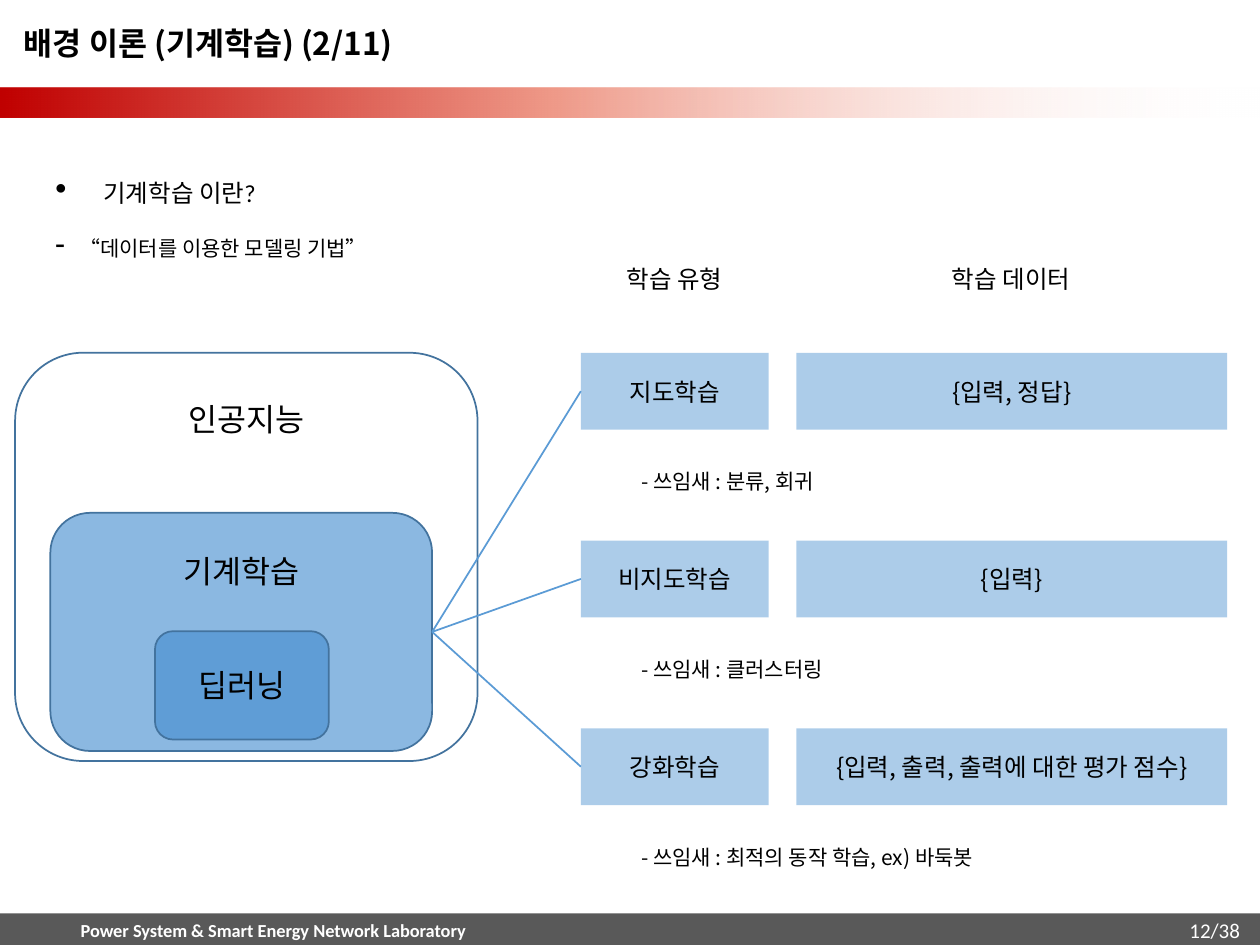
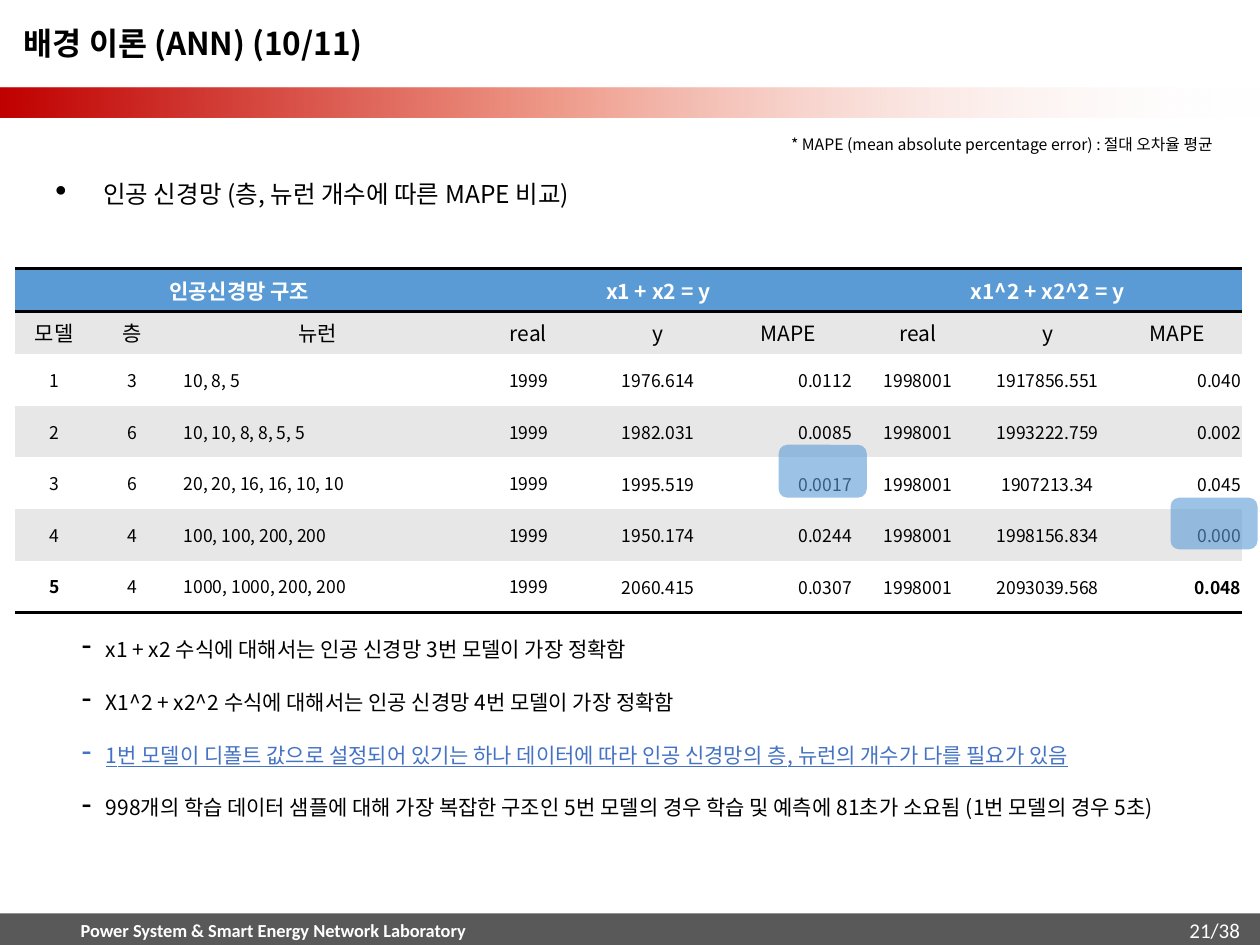
import pptx
import pptx.dml.color
import pptx.enum.shapes
import pptx.enum.text
import pptx.oxml
import pptx.oxml.ns
import pptx.util
from lxml import etree

Inches = pptx.util.Inches
Pt = pptx.util.Pt
Shapes = pptx.enum.shapes.MSO_SHAPE
Anchor = pptx.enum.text.MSO_ANCHOR
Align = pptx.enum.text.PP_ALIGN
qn = pptx.oxml.ns.qn

COLORS = {
    "black": "000000", "white": "FFFFFF", "blue": "5B9BD5", "outline": "43739E",
    "highlight": "4472C4", "stripe": "E7E7E7", "footer": "595959",
    "red": "C00000", "salmon": "EF9A89",
}
KOREAN, LATIN = "Noto Sans CJK KR", "Calibri"
NARROW = (0.07, 0.04, 0.07, 0.04)
STANDARD = (0.1, 0.05, 0.1, 0.05)
TIGHT = (0.01, 0.01, 0.01, 0)
PAGE_COUNT = 38
LABORATORY = "Power System & Smart Energy Network Laboratory"

# label, box, fill opacity in percent (None: no fill), anchor
NESTED_FIELDS = [
    ("인공지능", (0.12, 2.8, 3.67, 3.24), None, Anchor.TOP),
    ("기계학습", (0.4, 4.07, 3.03, 1.89), 70, Anchor.TOP),
    ("딥러닝", (1.23, 5.01, 1.38, 0.86), 90, Anchor.MIDDLE),
]
COLUMN_HEADINGS = [("학습 유형", (4.83, 2.05, 1.05, 0.34)),
                   ("학습 데이터", (7.4, 2.05, 1.25, 0.34))]
LEARNING_TYPES = [
    ("지도학습", "{입력, 정답}", "- 쓰임새 : 분류, 회귀"),
    ("비지도학습", "{입력}", "- 쓰임새 : 클러스터링"),
    ("강화학습", "{입력, 출력, 출력에 대한 평가 점수}", "- 쓰임새 : 최적의 동작 학습, ex) 바둑봇"),
]
TYPES_TOP, TYPES_PITCH, TYPE_HEIGHT, NOTE_OFFSET = 2.8, 1.49, 0.61, 0.87

TABLE_GROUPS = ["인공신경망 구조", "x1 + x2 = y", "x1^2 + x2^2 = y"]
TABLE_ROWS = [
    ("모델", "층", "뉴런", "real", "y", "MAPE", "real", "y", "MAPE"),
    ("1", "3", "10, 8, 5", "1999", "1976.614", "0.0112", "1998001", "1917856.551", "0.040"),
    ("2", "6", "10, 10, 8, 8, 5, 5", "1999", "1982.031", "0.0085", "1998001", "1993222.759", "0.002"),
    ("3", "6", "20, 20, 16, 16, 10, 10", "1999", "1995.519", "0.0017", "1998001", "1907213.34", "0.045"),
    ("4", "4", "100, 100, 200, 200", "1999", "1950.174", "0.0244", "1998001", "1998156.834", "0.000"),
    ("5", "4", "1000, 1000, 200, 200", "1999", "2060.415", "0.0307", "1998001", "2093039.568", "0.048"),
]
COLUMN_WIDTHS = [0.62, 0.62, 2.32] + [1.03] * 6
ROW_HEIGHTS = [0.34, 0.34] + [0.41] * 5
NEURONS_COLUMN, MAPE_COLUMNS, BOLD_CELLS = 2, (5, 8), [(6, 0), (6, 8)]
BEST_MODEL_MARKS = [(6.18, 3.53, 0.7, 0.42), (9.29, 3.95, 0.69, 0.41)]
FINDINGS = [
    "x1 + x2 수식에 대해서는 인공 신경망 3번 모델이 가장 정확함",
    "X1^2 + x2^2 수식에 대해서는 인공 신경망 4번 모델이 가장 정확함",
    "1번 모델이 디폴트 값으로 설정되어 있기는 하나 데이터에 따라 인공 신경망의 층, "
    "뉴런의 개수가 다를 필요가 있음",
    "998개의 학습 데이터 샘플에 대해 가장 복잡한 구조인 5번 모델의 경우 학습 및 예측에 "
    "81초가 소요됨 (1번 모델의 경우 5초)",
]
KEY_FINDING = 2


def rgb(name):
    return pptx.dml.color.RGBColor.from_string(COLORS[name])


def xml(text):
    return pptx.oxml.parse_xml(text.replace(">", f" {pptx.oxml.ns.nsdecls('a')}>", 1))


def format_paragraph(paragraph, size, color="black", bold=False, align=Align.LEFT, font=KOREAN):
    paragraph.alignment = align
    for run in paragraph.runs:
        run.font.name = font
        run.font.size = Pt(size)
        run.font.bold = bold
        run.font.color.rgb = rgb(color)
        etree.SubElement(run.font._element, qn("a:ea")).set("typeface", KOREAN)


def set_margins(target, margins):
    """Apply left, top, right, bottom margins to a text frame or a cell."""
    for side, margin in zip(("left", "top", "right", "bottom"), margins):
        setattr(target, f"margin_{side}", Inches(margin))


def fill_frame(shape, text, size, anchor=Anchor.TOP, margins=STANDARD, wrap=True, **style):
    frame = shape.text_frame
    frame.text = text
    frame.word_wrap = wrap
    frame.vertical_anchor = anchor
    set_margins(frame, margins)
    for paragraph in frame.paragraphs:
        format_paragraph(paragraph, size, **style)
    return frame


def add_text(slide, box, text, size, **style):
    textbox = slide.shapes.add_textbox(*map(Inches, box))
    return fill_frame(textbox, text, size, **style)


def add_box(slide, box, kind=Shapes.RECTANGLE, fill=None, opacity=100, line=None):
    shape = slide.shapes.add_shape(kind, *map(Inches, box))
    shape.shadow.inherit = False
    if fill:
        shape.fill.solid()
        shape.fill.fore_color.rgb = rgb(fill)
        if opacity < 100:
            color = shape._element.spPr.find(".//" + qn("a:srgbClr"))
            etree.SubElement(color, qn("a:alpha")).set("val", str(opacity * 1000))
    else:
        shape.fill.background()
    if line:
        shape.line.color.rgb = rgb(line)
        shape.line.width = Pt(1)
    else:
        shape.line.fill.background()
    return shape


def add_bullet(paragraph, character, indent):
    """Give a list paragraph its hanging bullet and spacing."""
    paragraph.space_before = Pt(18)
    paragraph.line_spacing = 0.85
    properties = paragraph._p.get_or_add_pPr()
    properties.set("marL", str(Inches(indent)))
    properties.set("indent", str(-Inches(indent)))
    properties.append(xml('<a:buSzPct val="135000"/>'.replace("/>", "></a:buSzPct>")))
    properties.append(xml(f'<a:buChar char="{character}"></a:buChar>'))


def add_fading_band(slide):
    band = add_box(slide, (0, 0.7, 10, 0.23), fill="red")
    stops = [(0, "red", 100), (44, "salmon", 100), (100, "white", 0)]
    stop_list = "".join(
        f'<a:gs pos="{position * 1000}"><a:srgbClr val="{COLORS[color]}">'
        f'<a:alpha val="{opacity * 1000}"/></a:srgbClr></a:gs>'
        for position, color, opacity in stops)
    gradient = xml(f'<a:gradFill rotWithShape="1"><a:gsLst>{stop_list}</a:gsLst>'
                   '<a:lin ang="0" scaled="0"/></a:gradFill>')
    properties = band._element.spPr
    properties.replace(properties.find(qn("a:solidFill")), gradient)


def add_frame_slide(presentation, title, page):
    """Add a slide with the title, red band and footer that all slides share."""
    slide = presentation.slides.add_slide(presentation.slide_layouts[6])
    add_box(slide, (-0.03, 7.25, 10.06, 0.26), fill="footer")
    add_fading_band(slide)
    add_text(slide, (-0.08, 7.27, 4.5, 0.23), LABORATORY, 10.5, anchor=Anchor.MIDDLE,
             margins=(0.03, 0.02, 0.03, 0.02), color="white", bold=True,
             align=Align.CENTER, font=LATIN)
    heading = add_text(slide, (0.12, 0.2, 9.62, 0.32), title, 18, anchor=Anchor.MIDDLE,
                       margins=NARROW, bold=True)
    heading.paragraphs[0].line_spacing = 0.9
    add_text(slide, (7.69, 7.18, 2.25, 0.4), f"{page}/{PAGE_COUNT}", 12,
             anchor=Anchor.MIDDLE, color="white", align=Align.RIGHT, font=LATIN)
    return slide


def add_link(slide, start, end):
    """Join the left side of start to the right side of end."""
    connector = slide.shapes.add_connector(pptx.enum.shapes.MSO_CONNECTOR.STRAIGHT, 0, 0, 0, 0)
    connector.begin_connect(start, 1)
    connector.end_connect(end, 3)
    connector.line.color.rgb = rgb("blue")
    connector.line.width = Pt(1)
    etree.SubElement(connector._element.spPr, qn("a:effectLst"))


def build_machine_learning(presentation):
    slide = add_frame_slide(presentation, "배경 이론 (기계학습) (2/11)", 12)
    intro = add_text(slide, (0.37, 1.41, 9.57, 1.39), "기계학습 이란?", 14,
                     margins=NARROW, font=LATIN)
    definition = intro.add_paragraph()
    definition.text = "“데이터를 이용한 모델링 기법”"
    format_paragraph(definition, 12)
    add_bullet(intro.paragraphs[0], "•", 0.38)
    add_bullet(definition, "-", 0.19)

    fields = {}
    for label, box, opacity, anchor in NESTED_FIELDS:
        field = add_box(slide, box, Shapes.ROUNDED_RECTANGLE,
                        "blue" if opacity else None, opacity or 100, "outline")
        margins = (0.1, 0.22, 0.1, 0.05) if anchor == Anchor.TOP else STANDARD
        fill_frame(field, label, 18, anchor=anchor, margins=margins, align=Align.CENTER)
        fields[label] = field

    for heading, box in COLUMN_HEADINGS:
        add_text(slide, box, heading, 14, wrap=False, align=Align.CENTER)
    for index, (name, data, usage) in enumerate(LEARNING_TYPES):
        top = TYPES_TOP + index * TYPES_PITCH
        type_box = add_box(slide, (4.61, top, 1.49, TYPE_HEIGHT), fill="blue", opacity=50)
        data_box = add_box(slide, (6.32, top, 3.42, TYPE_HEIGHT), fill="blue", opacity=50)
        for shape, label in ((type_box, name), (data_box, data)):
            fill_frame(shape, label, 14, anchor=Anchor.MIDDLE, align=Align.CENTER)
        add_text(slide, (4.99, top + NOTE_OFFSET, 4.66, 0.3), usage, 12)
        add_link(slide, type_box, fields["기계학습"])


def fill_cell(cell, text, size, fill, margins=STANDARD, **style):
    cell.text = text
    cell.vertical_anchor = Anchor.MIDDLE
    set_margins(cell, margins)
    cell.fill.solid()
    cell.fill.fore_color.rgb = rgb(fill)
    format_paragraph(cell.text_frame.paragraphs[0], size, **style)


def add_borders(cell, sides):
    """Draw black 2 pt borders; sides is a string of T and B."""
    properties = cell._tc.get_or_add_tcPr()
    for position, side in enumerate(sides):
        properties.insert(position, xml(
            f'<a:ln{side} w="{Pt(2)}"><a:solidFill><a:srgbClr val="{COLORS["black"]}"/>'
            f'</a:solidFill></a:ln{side}>'))


def add_model_table(slide):
    table = slide.shapes.add_table(
        len(ROW_HEIGHTS), len(COLUMN_WIDTHS), Inches(0.12), Inches(2.13),
        Inches(sum(COLUMN_WIDTHS)), Inches(sum(ROW_HEIGHTS))).table
    table._tbl.tblPr.find(qn("a:tableStyleId")).text = "{2D5ABB26-0587-4C30-8999-92F81FD0307C}"
    table.first_row = table.horz_banding = False
    for column, width in zip(table.columns, COLUMN_WIDTHS):
        column.width = Inches(width)
    for row, height in zip(table.rows, ROW_HEIGHTS):
        row.height = Inches(height)

    for index, group in enumerate(TABLE_GROUPS):
        first = index * 3
        table.cell(0, first).merge(table.cell(0, first + 2))
        fill_cell(table.cell(0, first), group, 12, "blue", color="white", bold=True,
                  align=Align.CENTER)
    for row, values in enumerate(TABLE_ROWS, 1):
        is_header = row == 1
        for column, value in enumerate(values):
            align = Align.CENTER
            if not is_header and column == NEURONS_COLUMN:
                align = Align.LEFT
            elif not is_header and column in MAPE_COLUMNS:
                align = Align.RIGHT
            fill_cell(table.cell(row, column), value, 12 if is_header else 10,
                      "stripe" if row % 2 else "white",
                      margins=STANDARD if is_header or column < 4 else TIGHT,
                      bold=(row, column) in BOLD_CELLS, align=align)
    for column in range(len(COLUMN_WIDTHS)):
        add_borders(table.cell(0, column), "TB")
        add_borders(table.cell(len(TABLE_ROWS), column), "B")


def build_network_comparison(presentation):
    slide = add_frame_slide(presentation, "배경 이론 (ANN) (10/11)", 21)
    topic = add_text(slide, (0.37, 1.42, 8.71, 0.5),
                     "인공 신경망 (층, 뉴런 개수에 따른 MAPE 비교)", 14, margins=NARROW)
    add_bullet(topic.paragraphs[0], "•", 0.38)
    add_model_table(slide)
    findings = add_text(slide, (0.58, 5.04, 8.71, 2.14), "\n".join(FINDINGS), 12, margins=NARROW)
    for paragraph in findings.paragraphs:
        add_bullet(paragraph, "-", 0.19)
    key_font = findings.paragraphs[KEY_FINDING].runs[0].font
    key_font.color.rgb = rgb("highlight")
    key_font.underline = True
    add_text(slide, (6.18, 1.02, 3.8, 0.25),
             "* MAPE (mean absolute percentage error) : 절대 오차율 평균", 9)
    for box in BEST_MODEL_MARKS:
        add_box(slide, box, Shapes.ROUNDED_RECTANGLE, "blue", 60)


def main():
    presentation = pptx.Presentation()
    presentation.slide_width, presentation.slide_height = Inches(10), Inches(7.5)
    build_machine_learning(presentation)
    build_network_comparison(presentation)
    presentation.save("out.pptx")


if __name__ == "__main__":
    main()
